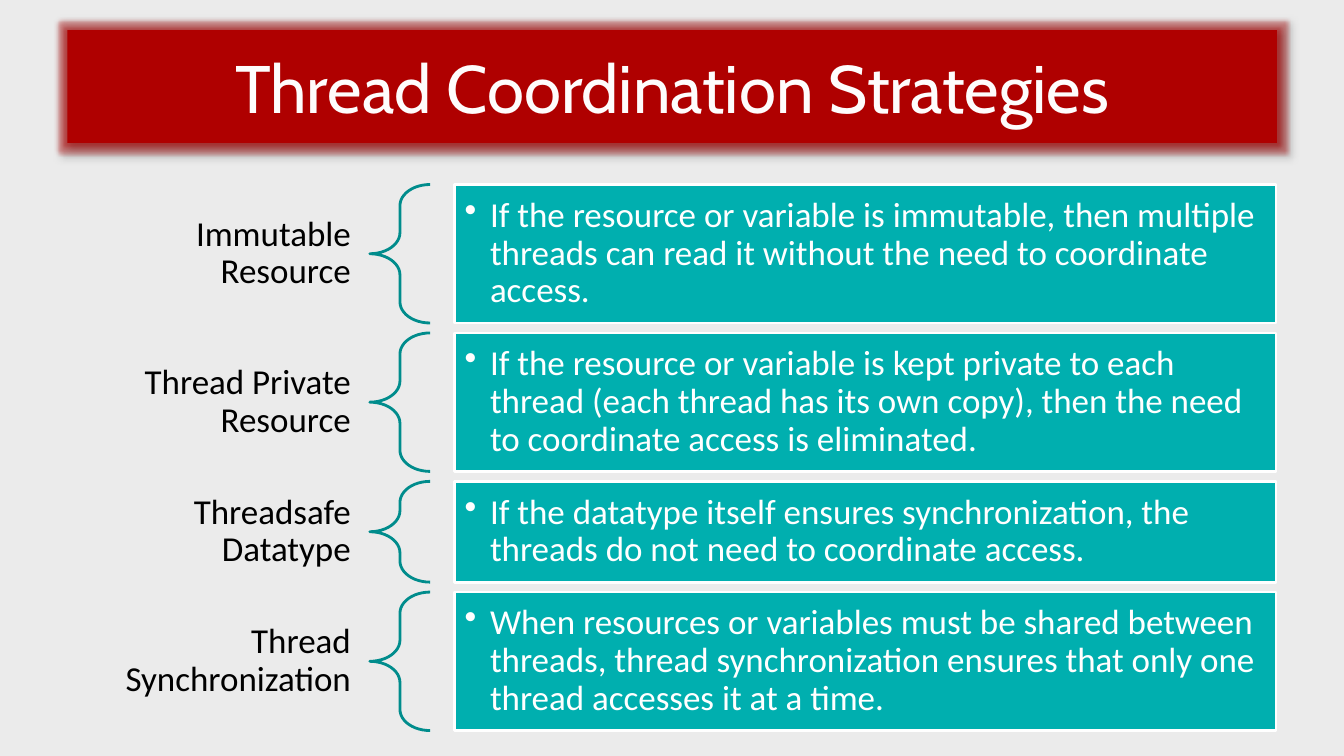
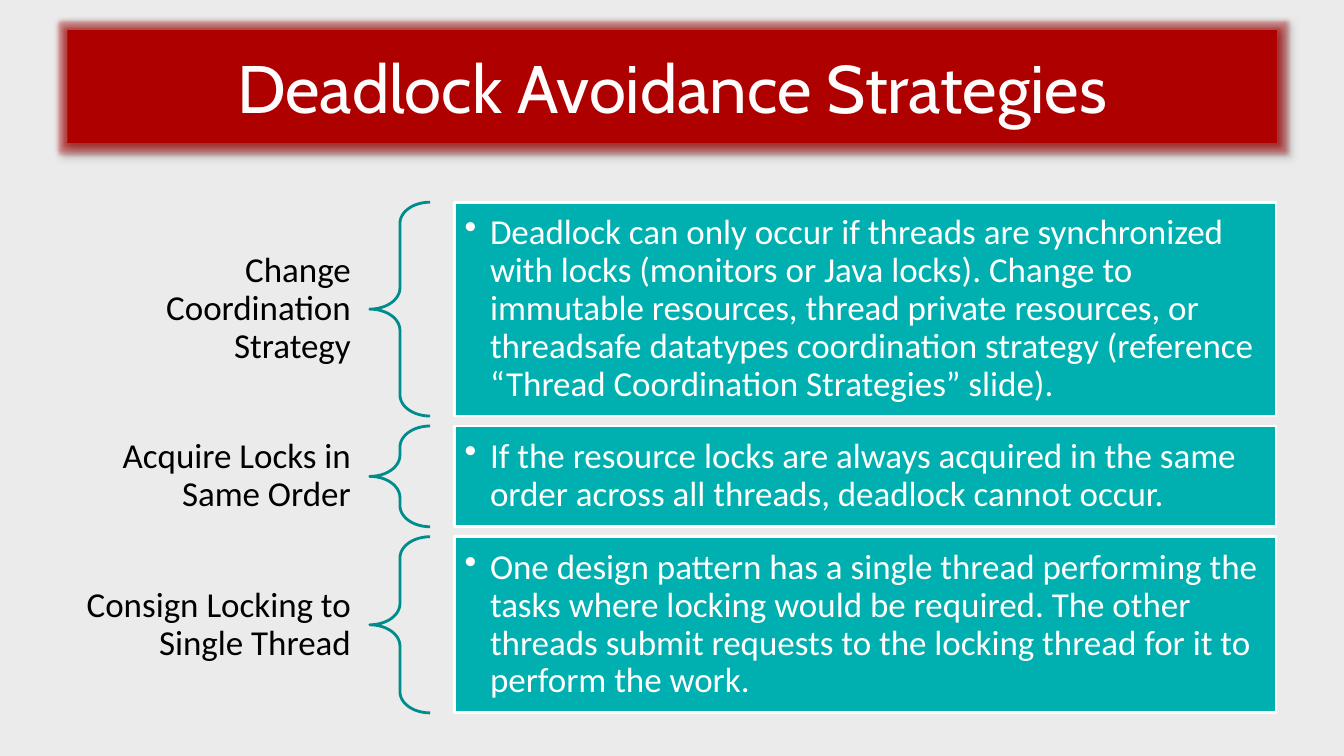
from dataclasses import dataclass

from lxml import etree
from pptx import Presentation
from pptx.dml.color import RGBColor
from pptx.enum.shapes import MSO_SHAPE
from pptx.enum.text import MSO_ANCHOR, PP_ALIGN
from pptx.oxml.ns import qn
from pptx.util import Cm, Pt

RECTANGLE, LEFT_BRACE = MSO_SHAPE.RECTANGLE, MSO_SHAPE.LEFT_BRACE
MIDDLE = MSO_ANCHOR.MIDDLE
LEFT, CENTER, RIGHT = PP_ALIGN.LEFT, PP_ALIGN.CENTER, PP_ALIGN.RIGHT


@dataclass(frozen=True)
class Theme:
    background: str = "EBEBEB"
    title_fill: str = "AF0000"
    title_text: str = "FEFCFC"
    label_text: str = "000000"
    brace: str = "008C8C"
    body_fill: str = "00AFAF"
    body_text: str = "FFFFFF"
    body_border: str = "FFFFFF"
    shadow: str = "000000"
    title_font: str = "Cabin"
    body_font: str = "Calibri"
    title_size: float = 48
    body_size: float = 25
    line_width: float = 2


@dataclass(frozen=True)
class Strategy:
    """One row; the line counts determine how tall its boxes are."""
    label: str
    label_lines: int
    body: str
    body_lines: int


# All lengths are centimetres.
SLIDE_WIDTH, SLIDE_HEIGHT = 33.87, 19.05
MARGIN = 1.7
LABEL_WIDTH = 7.62
BRACE_LEFT, BRACE_WIDTH = 9.32, 1.52
BODY_LEFT, BODY_WIDTH = 11.46, 20.7
ROWS_MIDDLE, ROW_GAP = 11.53, 0.25
LINE_HEIGHT, BODY_PADDING, LABEL_PADDING = 0.95, 0.64, 0.4
BULLET_INDENT = 0.64

COORDINATION_STRATEGIES = [
    Strategy("Immutable Resource", 2,
             "If the resource or variable is immutable, then multiple threads "
             "can read it without the need to coordinate access.", 3),
    Strategy("Thread Private Resource", 2,
             "If the resource or variable is kept private to each thread (each "
             "thread has its own copy), then the need to coordinate access is "
             "eliminated.", 3),
    Strategy("Threadsafe Datatype", 2,
             "If the datatype itself ensures synchronization, the threads do "
             "not need to coordinate access.", 2),
    Strategy("Thread Synchronization", 2,
             "When resources or variables must be shared between threads, "
             "thread synchronization ensures that only one thread accesses it "
             "at a time.", 3),
]
AVOIDANCE_STRATEGIES = [
    Strategy("Change Coordination Strategy", 3,
             "Deadlock can only occur if threads are synchronized with locks "
             "(monitors or Java locks). Change to immutable resources, thread "
             "private resources, or threadsafe datatypes coordination strategy "
             "(reference “Thread Coordination Strategies” slide).", 5),
    Strategy("Acquire Locks in Same Order", 2,
             "If the resource locks are always acquired in the same order "
             "across all threads, deadlock cannot occur.", 2),
    Strategy("Consign Locking to Single Thread", 2,
             "One design pattern has a single thread performing the tasks "
             "where locking would be required. The other threads submit "
             "requests to the locking thread for it to perform the work.", 4),
]


def write_text(shape, text, *, font, size, color, align=LEFT, wrap=True,
               margins=(0.25, 0.25), line_spacing=None, bullet=False):
    """Fill a shape with one paragraph; margins are (horizontal, vertical)."""
    frame = shape.text_frame
    frame.word_wrap = wrap
    frame.vertical_anchor = MIDDLE
    frame.margin_left = frame.margin_right = Cm(margins[0])
    frame.margin_top = frame.margin_bottom = Cm(margins[1])
    paragraph = frame.paragraphs[0]
    paragraph.alignment = align
    paragraph.line_spacing = line_spacing
    run = paragraph.add_run()
    run.text = text
    run.font.name = font
    run.font.size = Pt(size)
    run.font.color.rgb = RGBColor.from_string(color)
    if bullet:
        properties = paragraph._p.get_or_add_pPr()
        properties.set("marL", str(Cm(BULLET_INDENT)))
        properties.set("indent", str(-Cm(BULLET_INDENT)))
        etree.SubElement(properties, qn("a:buChar"), char="•")


def add_effect(shape, kind, color, opacity, **attributes):
    effects = shape._element.spPr.find(qn("a:effectLst"))
    effect = etree.SubElement(effects, qn(f"a:{kind}"), **attributes)
    effect_color = etree.SubElement(effect, qn("a:srgbClr"), val=color)
    etree.SubElement(effect_color, qn("a:alpha"), val=str(opacity * 1000))


class Deck:
    def __init__(self, theme):
        self.theme = theme
        self.presentation = Presentation()
        self.presentation.slide_width = Cm(SLIDE_WIDTH)
        self.presentation.slide_height = Cm(SLIDE_HEIGHT)
        self.slide = None

    def add_slide(self, title, strategies):
        layout = self.presentation.slide_layouts[6]
        self.slide = self.presentation.slides.add_slide(layout)
        background = self.slide.background.fill
        background.solid()
        background.fore_color.rgb = RGBColor.from_string(self.theme.background)
        self.add_title(title)
        self.add_strategies(strategies)

    def add_shape(self, kind, left, top, width, height, fill=None, line=None):
        shape = self.slide.shapes.add_shape(
            kind, Cm(left), Cm(top), Cm(width), Cm(height))
        shape.shadow.inherit = False
        if fill:
            shape.fill.solid()
            shape.fill.fore_color.rgb = RGBColor.from_string(fill)
        else:
            shape.fill.background()
        if line:
            shape.line.color.rgb = RGBColor.from_string(line)
            shape.line.width = Pt(self.theme.line_width)
        else:
            shape.line.fill.background()
        return shape

    def add_title(self, text):
        theme = self.theme
        band = self.add_shape(RECTANGLE, MARGIN, 0.76, 30.48, 2.84,
                              fill=theme.title_fill)
        add_effect(band, "glow", theme.title_fill, 40, rad=str(Pt(5)))
        add_effect(band, "outerShdw", theme.shadow, 40, blurRad=str(Pt(4)),
                   dist=str(Pt(3)), dir=str(45 * 60000), rotWithShape="0")
        write_text(band, text, font=theme.title_font, size=theme.title_size,
                   color=theme.title_text, align=CENTER, wrap=False)

    def add_label(self, strategy, middle):
        height = LABEL_PADDING + LINE_HEIGHT * strategy.label_lines
        label = self.slide.shapes.add_textbox(
            Cm(MARGIN), Cm(middle - height / 2), Cm(LABEL_WIDTH), Cm(height))
        write_text(label, strategy.label, font=self.theme.body_font,
                   size=self.theme.body_size, color=self.theme.label_text,
                   align=RIGHT, margins=(0.48, 0.18), line_spacing=0.9)

    def add_brace(self, top, height):
        brace = self.add_shape(LEFT_BRACE, BRACE_LEFT, top, BRACE_WIDTH, height,
                               line=self.theme.brace)
        brace.adjustments[0] = 0.35
        brace.adjustments[1] = 0.5

    def add_body(self, text, top, height):
        theme = self.theme
        body = self.add_shape(RECTANGLE, BODY_LEFT, top, BODY_WIDTH, height,
                              fill=theme.body_fill, line=theme.body_border)
        write_text(body, text, font=theme.body_font, size=theme.body_size,
                   color=theme.body_text, line_spacing=0.9, bullet=True)

    def add_strategies(self, strategies):
        """Stack the rows with equal gaps around a fixed middle line."""
        heights = [BODY_PADDING + LINE_HEIGHT * strategy.body_lines
                   for strategy in strategies]
        total = sum(heights) + ROW_GAP * (len(heights) - 1)
        top = ROWS_MIDDLE - total / 2
        for strategy, height in zip(strategies, heights):
            self.add_label(strategy, top + height / 2)
            self.add_brace(top, height)
            self.add_body(strategy.body, top, height)
            top += height + ROW_GAP


def main():
    deck = Deck(Theme())
    deck.add_slide("Thread Coordination Strategies", COORDINATION_STRATEGIES)
    deck.add_slide("Deadlock Avoidance Strategies", AVOIDANCE_STRATEGIES)
    deck.presentation.save("out.pptx")


if __name__ == "__main__":
    main()
